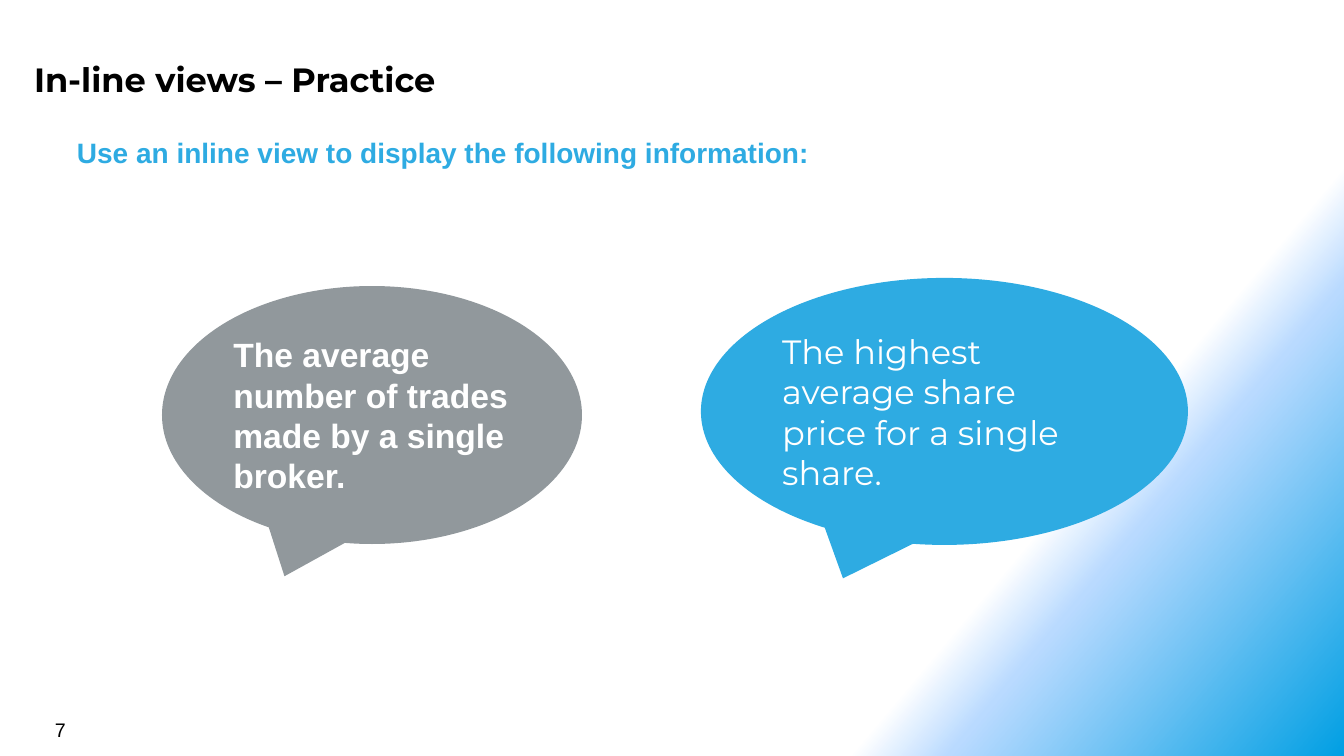
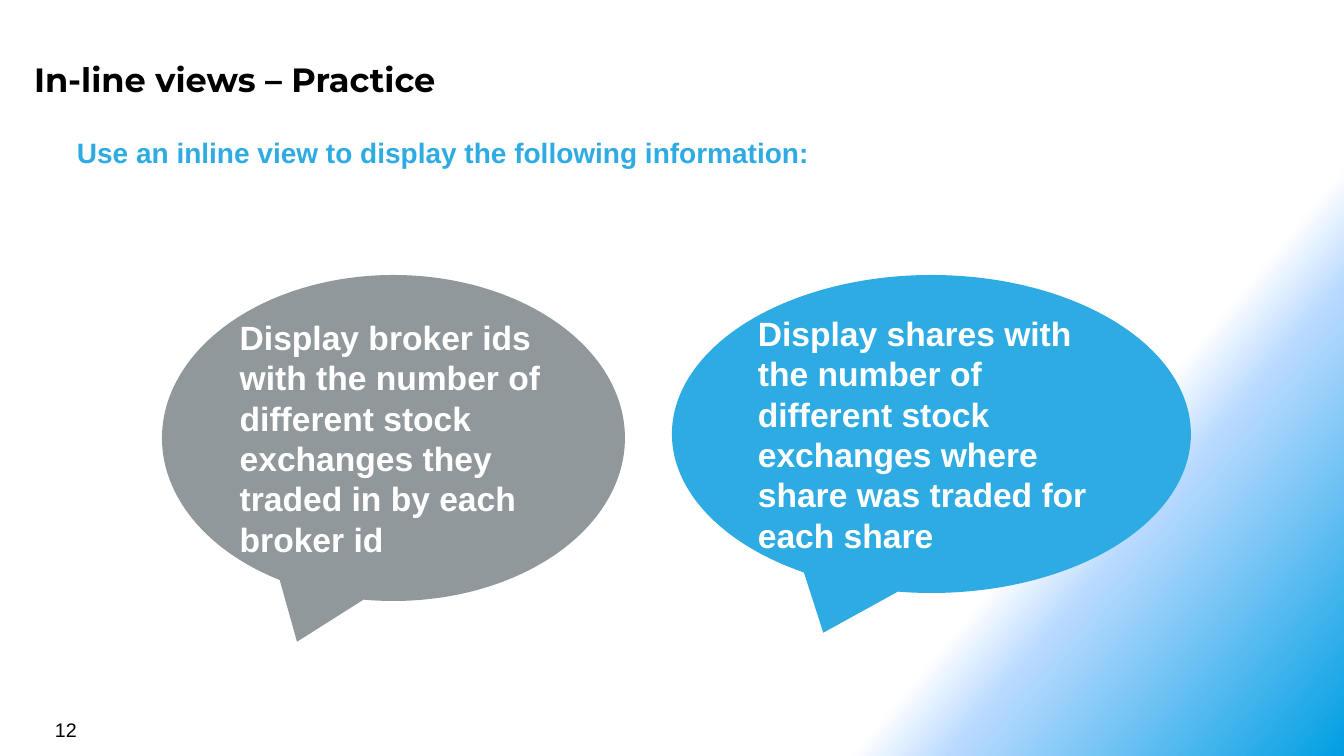
import copy
from dataclasses import dataclass

import pptx
import pptx.dml.color
import pptx.enum.shapes
import pptx.enum.text
import pptx.oxml.ns
import pptx.presentation
import pptx.shapes.autoshape
import pptx.slide
import pptx.util

# Scale and shared style
WIDE, HIGH = 1344, 756
UNIT = 12192000 / WIDE

BLACK, WHITE = "000000", "FFFFFF"
GREY, BLUE = "91989C", "2EABE2"
GLOW = ((75, WHITE), (80, "B9DAFF"), (100, "009FE3"))
ANGLE = 40
LEAD = 1.2
TITLE = "In-line views – Practice"
HINT = "Use an inline view to display the following information:"


@dataclass(frozen=True)
class Box:
    left: int
    top: int
    width: int
    height: int


@dataclass(frozen=True)
class Font:
    size: int
    color: str
    name: str = "Arial"
    bold: bool = True


@dataclass(frozen=True)
class Bubble:
    box: Box
    fill: str
    text: str
    font: Font = Font(24, WHITE)


@dataclass(frozen=True)
class Page:
    number: int
    bubbles: tuple[Bubble, ...]


PAGES = (
    Page(7, (
        Bubble(Box(162, 286, 420, 258), GREY,
               "The average number of trades made by a single broker."),
        Bubble(Box(701, 278, 487, 267), BLUE,
               "The highest average share price for a single share.",
               Font(24, WHITE, "Montserrat", False)),
    )),
    Page(12, (
        Bubble(Box(162, 275, 463, 326), GREY,
               "Display broker ids with the number of different stock "
               "exchanges they traded in by each broker id"),
        Bubble(Box(672, 275, 519, 318), BLUE,
               "Display shares with the number of different stock "
               "exchanges where share was traded for each share"),
    )),
)


def px(count: int) -> int:
    return round(count * UNIT)


def rgb(code: str) -> pptx.dml.color.RGBColor:
    return pptx.dml.color.RGBColor.from_string(code)


def edges(box: Box) -> tuple[int, int, int, int]:
    return px(box.left), px(box.top), px(box.width), px(box.height)


def write(shape: pptx.shapes.autoshape.Shape, text: str, font: Font,
          anchor: pptx.enum.text.MSO_ANCHOR = pptx.enum.text.MSO_ANCHOR.TOP) -> None:
    frame = shape.text_frame
    frame.text = text
    frame.word_wrap = True
    frame.auto_size = pptx.enum.text.MSO_AUTO_SIZE.NONE
    frame.vertical_anchor = anchor
    line = frame.paragraphs[0]
    line.alignment = pptx.enum.text.PP_ALIGN.LEFT
    line.line_spacing = pptx.util.Pt(font.size * LEAD)
    style = line.runs[0].font
    style.name = font.name
    style.size = pptx.util.Pt(font.size)
    style.bold = font.bold
    style.color.rgb = rgb(font.color)


def add_text(slide: pptx.slide.Slide, box: Box, text: str, font: Font) -> None:
    write(slide.shapes.add_textbox(*edges(box)), text, font)


def add_title(slide: pptx.slide.Slide) -> None:
    title = slide.shapes.title
    title.left, title.top, title.width, title.height = edges(Box(26, 51, 1236, 55))
    write(title, TITLE, Font(24, BLACK, "Montserrat"))
    frame = title.text_frame
    frame.margin_left = frame.margin_right = px(8)
    frame.margin_top = frame.margin_bottom = px(8)


def add_bubble(slide: pptx.slide.Slide, bubble: Bubble) -> None:
    shape = slide.shapes.add_shape(
        pptx.enum.shapes.MSO_SHAPE.OVAL_CALLOUT, *edges(bubble.box))
    shape.shadow.inherit = False
    shape.fill.solid()
    shape.fill.fore_color.rgb = rgb(bubble.fill)
    shape.line.fill.background()
    write(shape, bubble.text, bubble.font, pptx.enum.text.MSO_ANCHOR.MIDDLE)


def paint_master(deck: pptx.presentation.Presentation) -> None:
    master = deck.slide_master
    fill = master.background.fill
    fill.gradient()
    fill.gradient_angle = 360 - ANGLE
    # The new gradient has two stops; a third is cloned from the last
    stops = master.element.find(".//" + pptx.oxml.ns.qn("a:gsLst"))
    stops.append(copy.deepcopy(stops[-1]))
    for stop, (place, code) in zip(fill.gradient_stops, GLOW):
        stop.position = place / 100
        stop.color.rgb = rgb(code)


def add_page(deck: pptx.presentation.Presentation, page: Page) -> None:
    slide = deck.slides.add_slide(deck.slide_layouts[5])
    for bubble in page.bubbles:
        add_bubble(slide, bubble)
    add_text(slide, Box(67, 131, 1182, 44), HINT, Font(20, BLUE))
    add_title(slide)
    add_text(slide, Box(45, 713, 313, 33), str(page.number),
             Font(14, BLACK, bold=False))


def main() -> None:
    deck = pptx.Presentation()
    deck.slide_width, deck.slide_height = px(WIDE), px(HIGH)
    paint_master(deck)
    for page in PAGES:
        add_page(deck, page)
    deck.save("out.pptx")


if __name__ == "__main__":
    main()
